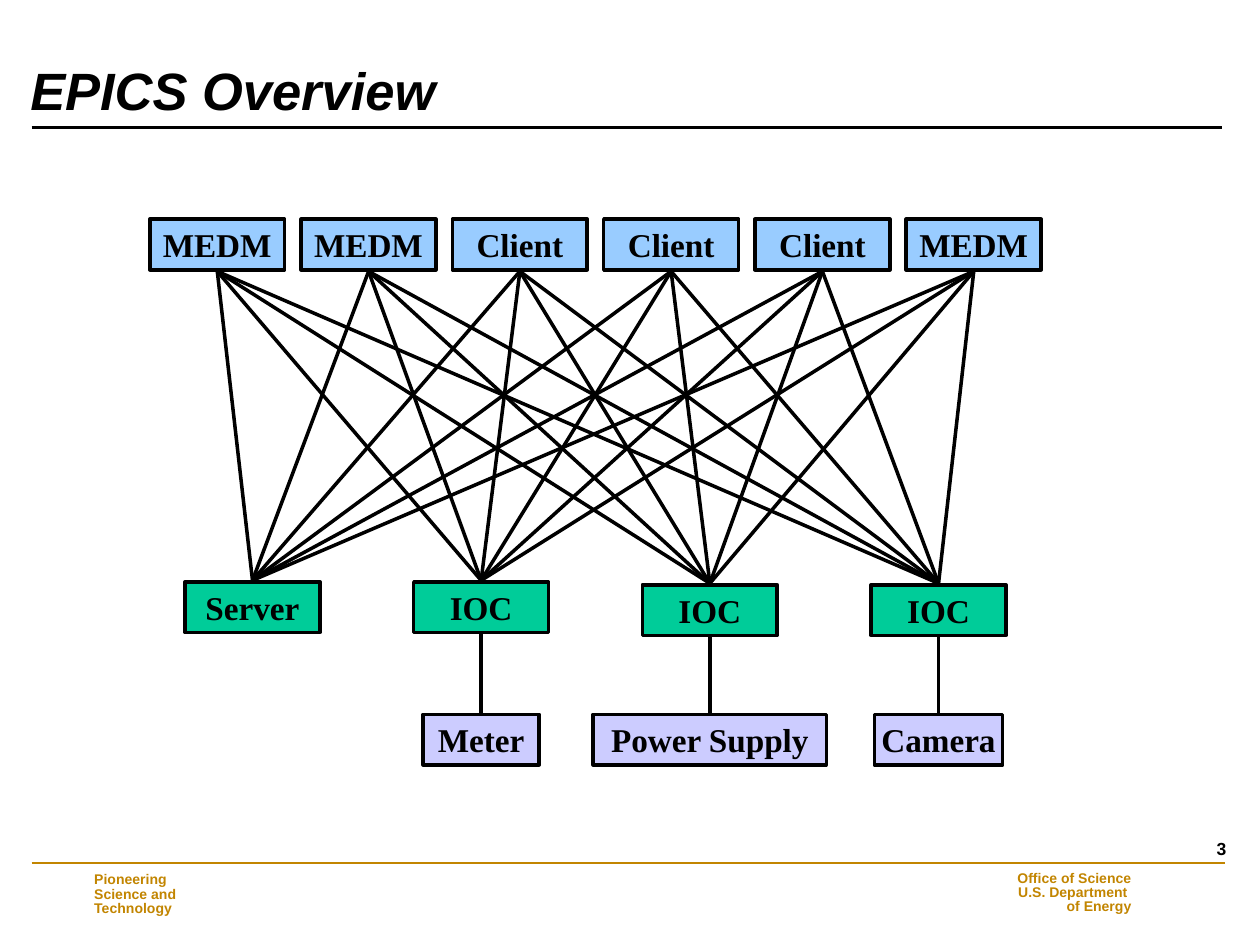
from itertools import product

from lxml.etree import SubElement
from pptx import Presentation
from pptx.dml.color import RGBColor
from pptx.enum.shapes import MSO_CONNECTOR, MSO_SHAPE
from pptx.enum.text import MSO_ANCHOR, PP_ALIGN
from pptx.oxml.ns import qn
from pptx.util import Cm, Pt

HUES = {
    "ink": "000000",
    "gold": "C28500",
    "client": "99CCFF",
    "server": "00CC99",
    "device": "CCCCFF",
}
BOX_W, BOX_H = 2.72, 1.02
GAP = 0.03  # space between a box and the end of its line


def rgb(name):
    return RGBColor.from_string(HUES[name])


def write(frame, text, size, face="Arial", hue="ink", align=PP_ALIGN.LEFT,
          anchor=MSO_ANCHOR.MIDDLE, pads=(0.25, 0.13), wrap=True,
          space=1.0, slant=False):
    frame.text = text
    frame.word_wrap = wrap
    frame.vertical_anchor = anchor
    frame.margin_left = frame.margin_right = Cm(pads[0])
    frame.margin_top = frame.margin_bottom = Cm(pads[1])
    for para in frame.paragraphs:
        para.alignment = align
        para.line_spacing = space
        for run in para.runs:
            font = run.font
            font.name, font.size = face, Pt(size)
            font.bold, font.italic = True, slant
            font.color.rgb = rgb(hue)


def add_line(slide, start, end, width=2, hue="ink"):
    line = slide.shapes.add_connector(
        MSO_CONNECTOR.STRAIGHT, *map(Cm, start + end))
    line.line.color.rgb = rgb(hue)
    line.line.width = Pt(width)
    SubElement(line._element.spPr, qn("a:effectLst"))


def add_box(slide, text, mid, top, hue, width=BOX_W):
    box = slide.shapes.add_shape(
        MSO_SHAPE.RECTANGLE, Cm(mid - width / 2), Cm(top), Cm(width), Cm(BOX_H))
    box.shadow.inherit = False
    box.fill.solid()
    box.fill.fore_color.rgb = rgb(hue)
    box.line.color.rgb = rgb("ink")
    box.line.width = Pt(2)
    write(box.text_frame, text, 19, "Times New Roman", align=PP_ALIGN.CENTER,
          pads=(0.13, 0.07), wrap=False)


def add_text(slide, text, place, size, **style):
    box = slide.shapes.add_textbox(*map(Cm, place))
    write(box.text_frame, text, size, **style)


def add_title(slide, text):
    title = slide.shapes.title
    title.left, title.top = Cm(0.36), Cm(1.32)
    title.width, title.height = Cm(24.33), Cm(1.27)
    write(title.text_frame, text, 30, anchor=MSO_ANCHOR.BOTTOM,
          space=0.9, slant=True)
    title.text_frame.margin_top = 0
    add_line(slide, (0.64, 2.57), (24.64, 2.57), 1.5)


def add_footer(slide):
    add_line(slide, (0.64, 17.4), (24.69, 17.4), 1, "gold")
    add_text(slide, "Pioneering \vScience and\vTechnology",
             (1.65, 17.48, 3.71, 1.12), 8, hue="gold", space=0.85)
    add_text(slide, "Office of Science\n U.S. Department \nof Energy",
             (19.91, 17.45, 3.15, 1.12), 8, hue="gold", space=0.85,
             align=PP_ALIGN.RIGHT)
    add_text(slide, "3", (23.98, 16.76, 0.99, 0.97), 10,
             align=PP_ALIGN.RIGHT, anchor=MSO_ANCHOR.TOP)


def add_net(slide):
    clients = ["MEDM", "MEDM", "Client", "Client", "Client", "MEDM"]
    servers = [("Server", 11.73), ("IOC", 11.73), ("IOC", 11.79), ("IOC", 11.79)]
    devices = [("Meter", 2.34), ("Power Supply", 4.7), ("Camera", 2.59)]
    tops = [4.38 + 3.05 * i for i in range(len(clients))]
    mids = [5.09 + 4.61 * i for i in range(len(servers))]
    high, low = 4.42, 14.4

    # Boxes, row by row
    for text, mid in zip(clients, tops):
        add_box(slide, text, mid, high, "client")
    for (text, top), mid in zip(servers, mids):
        add_box(slide, text, mid, top, "server")
    for (text, width), mid in zip(devices, mids[1:]):
        add_box(slide, text, mid, low, "device", width)

    # Every client reaches every server
    ends = [(mid, top - GAP) for (_, top), mid in zip(servers, mids)]
    for mid, end in product(tops, ends):
        add_line(slide, (mid, high + BOX_H + GAP), end)

    # Each IOC drives the device below it
    for (_, top), mid in zip(servers[1:], mids[1:]):
        add_line(slide, (mid, top + BOX_H + GAP), (mid, low - GAP))


def main():
    deck = Presentation()
    deck.slide_width, deck.slide_height = Cm(25.4), Cm(19.05)
    slide = deck.slides.add_slide(deck.slide_layouts[5])
    add_footer(slide)
    add_title(slide, "EPICS Overview")
    add_net(slide)
    deck.save("out.pptx")


if __name__ == "__main__":
    main()
